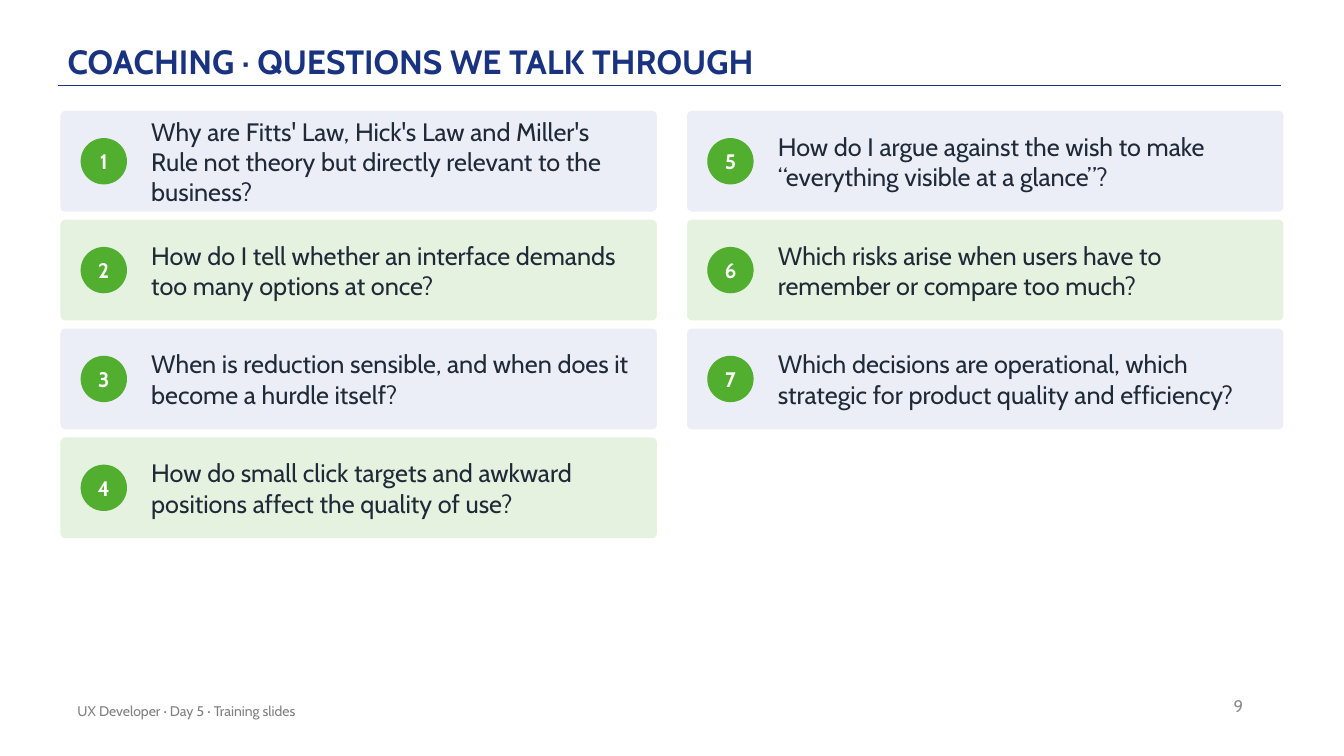
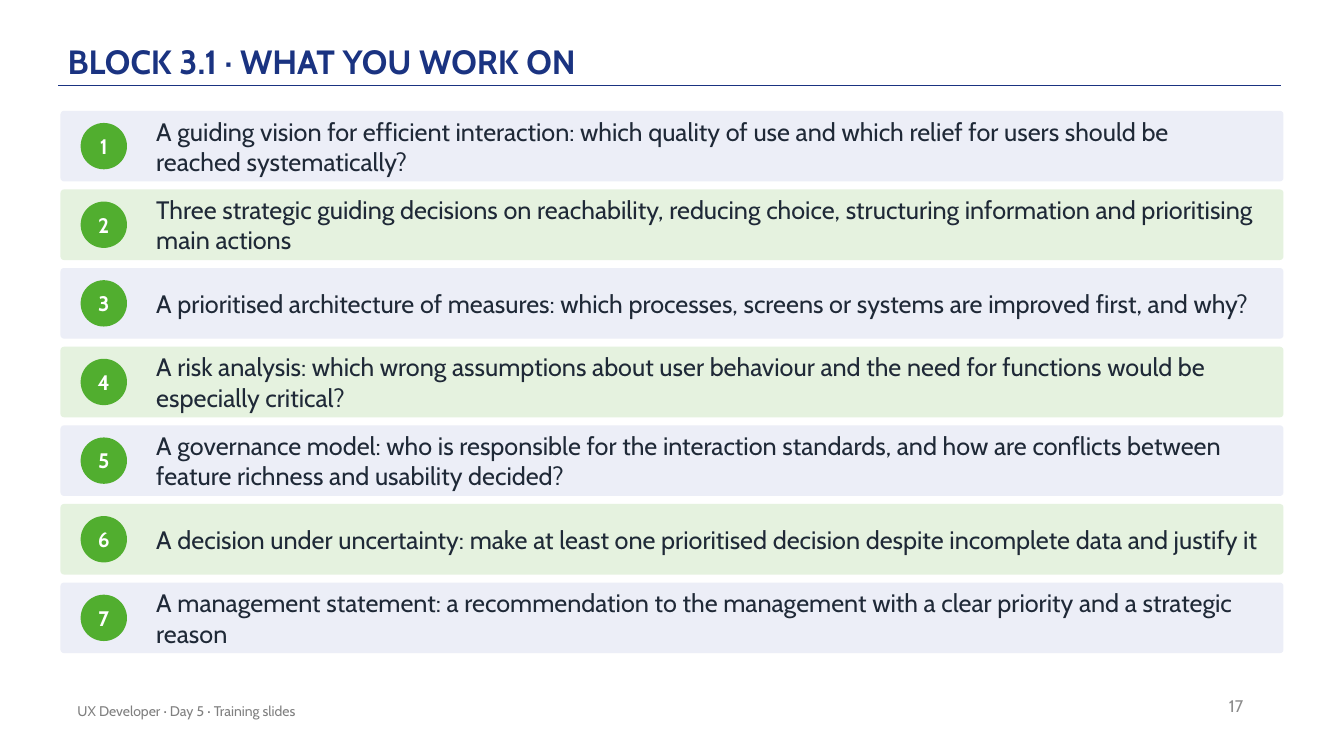
from dataclasses import dataclass

from lxml.etree import SubElement
from pptx import Presentation
from pptx.dml.color import RGBColor as RGB
from pptx.enum.shapes import MSO_CONNECTOR as CONN, MSO_SHAPE as SHAPE
from pptx.enum.text import MSO_ANCHOR as ANCHOR, MSO_AUTO_SIZE as FIT, PP_ALIGN as ALIGN
from pptx.oxml.ns import qn
from pptx.util import Emu, Pt


@dataclass(frozen=True)
class Theme:
    font: str = "Cabin"
    navy: str = "1A3381"
    green: str = "51AE2F"
    ink: str = "1F2937"
    white: str = "FFFFFF"
    footer: str = "808080"
    number: str = "8C8C8C"
    bands: tuple = ("ECEEF7", "E5F2DF")
    title_pt: int = 24
    body_pt: int = 18
    badge_pt: int = 15
    number_pt: int = 12
    footer_pt: int = 10


T = Theme()
TITLE_ONLY = 5
FOOTER = "UX Developer · Day 5 · Training slides"
CARD_AREA = (60, 110, 1213)
CARD_GAP = 8
COLUMN_GAP = 30
BADGE = 46
BADGE_INSET = 20

QUESTIONS = [
    "Why are Fitts' Law, Hick's Law and Miller's Rule not theory but directly relevant to the business?",
    "How do I tell whether an interface demands too many options at once?",
    "When is reduction sensible, and when does it become a hurdle itself?",
    "How do small click targets and awkward positions affect the quality of use?",
    "How do I argue against the wish to make “everything visible at a glance”?",
    "Which risks arise when users have to remember or compare too much?",
    "Which decisions are operational, which strategic for product quality and efficiency?",
]
TASKS = [
    "A guiding vision for efficient interaction: which quality of use and which relief for users "
    "should be reached systematically?",
    "Three strategic guiding decisions on reachability, reducing choice, structuring information "
    "and prioritising main actions",
    "A prioritised architecture of measures: which processes, screens or systems are improved "
    "first, and why?",
    "A risk analysis: which wrong assumptions about user behaviour and the need for functions "
    "would be especially critical?",
    "A governance model: who is responsible for the interaction standards, and how are conflicts "
    "between feature richness and usability decided?",
    "A decision under uncertainty: make at least one prioritised decision despite incomplete data "
    "and justify it",
    "A management statement: a recommendation to the management with a clear priority and a "
    "strategic reason",
]


def px(*lengths):
    """Turn px, 100 to the inch, into EMU."""
    return [Emu(round(n * 9144)) for n in lengths]


def write(sp, text, size, color, bold=False, align=ALIGN.LEFT, anchor=ANCHOR.MIDDLE,
          margins=(0, 0, 0, 0), fit=FIT.NONE):
    tf = sp.text_frame
    tf.word_wrap = True
    tf.auto_size = fit
    tf.vertical_anchor = anchor
    tf.margin_left, tf.margin_top, tf.margin_right, tf.margin_bottom = px(*margins)
    p = tf.paragraphs[0]
    p.alignment = align
    r = p.add_run()
    r.text = text
    r.font.name, r.font.size, r.font.bold = T.font, Pt(size), bold
    r.font.color.rgb = RGB.from_string(color)
    return p


def add_filled(s, kind, box, color):
    sp = s.shapes.add_shape(kind, *px(*box))
    sp.shadow.inherit = False
    sp.fill.solid()
    sp.fill.fore_color.rgb = RGB.from_string(color)
    sp.line.fill.background()
    return sp


def add_frame(prs, title, number):
    """Add a slide with its title, rule, page number and footer."""
    s = prs.slides.add_slide(prs.slide_layouts[TITLE_ONLY])
    rule = s.shapes.add_connector(CONN.STRAIGHT, *px(58, 85, 1271, 85))
    rule.line.color.rgb = RGB.from_string(T.navy)
    rule.line.width = Pt(1)
    SubElement(rule.element.spPr, qn("a:effectLst"))

    sp = s.shapes.title
    sp.left, sp.top, sp.width, sp.height = px(67, 12, 1100, 72)
    p = write(sp, title, T.title_pt, T.navy, True, anchor=ANCHOR.BOTTOM, margins=(0, 3, 0, 3))
    p.line_spacing = 0.9

    margins = (10, 5, 10, 5)
    write(s.shapes.add_textbox(*px(943, 680, 300, 40)), str(number),
          T.number_pt, T.number, align=ALIGN.RIGHT, margins=margins)
    write(s.shapes.add_textbox(*px(67, 685, 670, 40)), FOOTER,
          T.footer_pt, T.footer, margins=margins)
    return s


def add_card(s, box, number, text, band, pad):
    x, y, w, h = box
    card = add_filled(s, SHAPE.ROUNDED_RECTANGLE, box, band)
    card.adjustments[0] = 0.05
    badge = add_filled(s, SHAPE.OVAL, (x + BADGE_INSET, y + (h - BADGE) / 2, BADGE, BADGE), T.green)
    write(badge, str(number), T.badge_pt, T.white, True, ALIGN.CENTER)
    indent = 70 + pad
    tb = s.shapes.add_textbox(*px(x + indent, y, w - indent - pad, h))
    write(tb, text, T.body_pt, T.ink, fit=FIT.SHAPE_TO_FIT_TEXT)


def add_cards(s, area, texts, columns, height, pad):
    """Stack numbered cards column by column, in alternating colours."""
    x, y, w = area
    rows = -(-len(texts) // columns)
    card_w = (w - COLUMN_GAP * (columns - 1)) / columns
    for i, text in enumerate(texts):
        col, row = divmod(i, rows)
        box = (x + col * (card_w + COLUMN_GAP), y + row * (height + CARD_GAP), card_w, height)
        add_card(s, box, i + 1, text, T.bands[row % 2], pad)


def main():
    prs = Presentation()
    prs.slide_width, prs.slide_height = px(1333, 750)
    s = add_frame(prs, "COACHING · QUESTIONS WE TALK THROUGH", 9)
    add_cards(s, CARD_AREA, QUESTIONS, columns=2, height=100, pad=20)
    s = add_frame(prs, "BLOCK 3.1 · WHAT YOU WORK ON", 17)
    add_cards(s, CARD_AREA, TASKS, columns=1, height=70, pad=25)
    prs.save("out.pptx")


if __name__ == "__main__":
    main()
